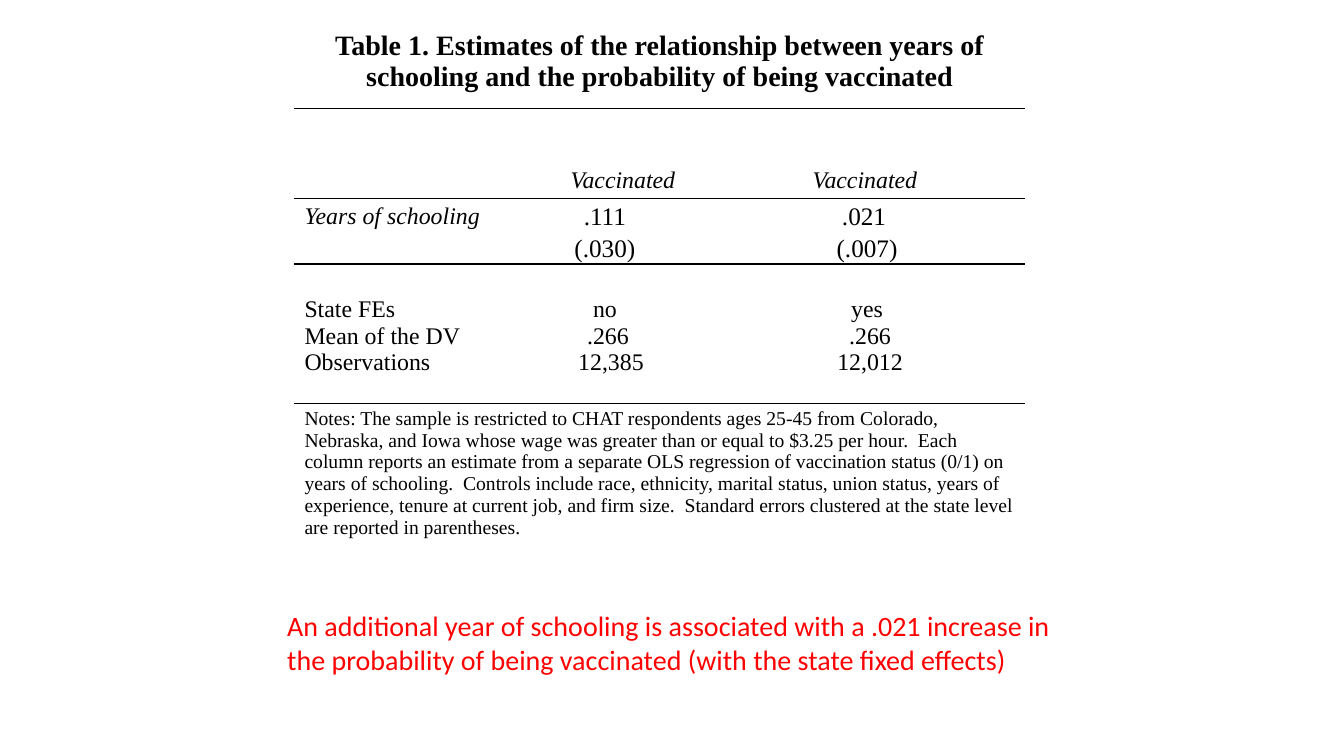
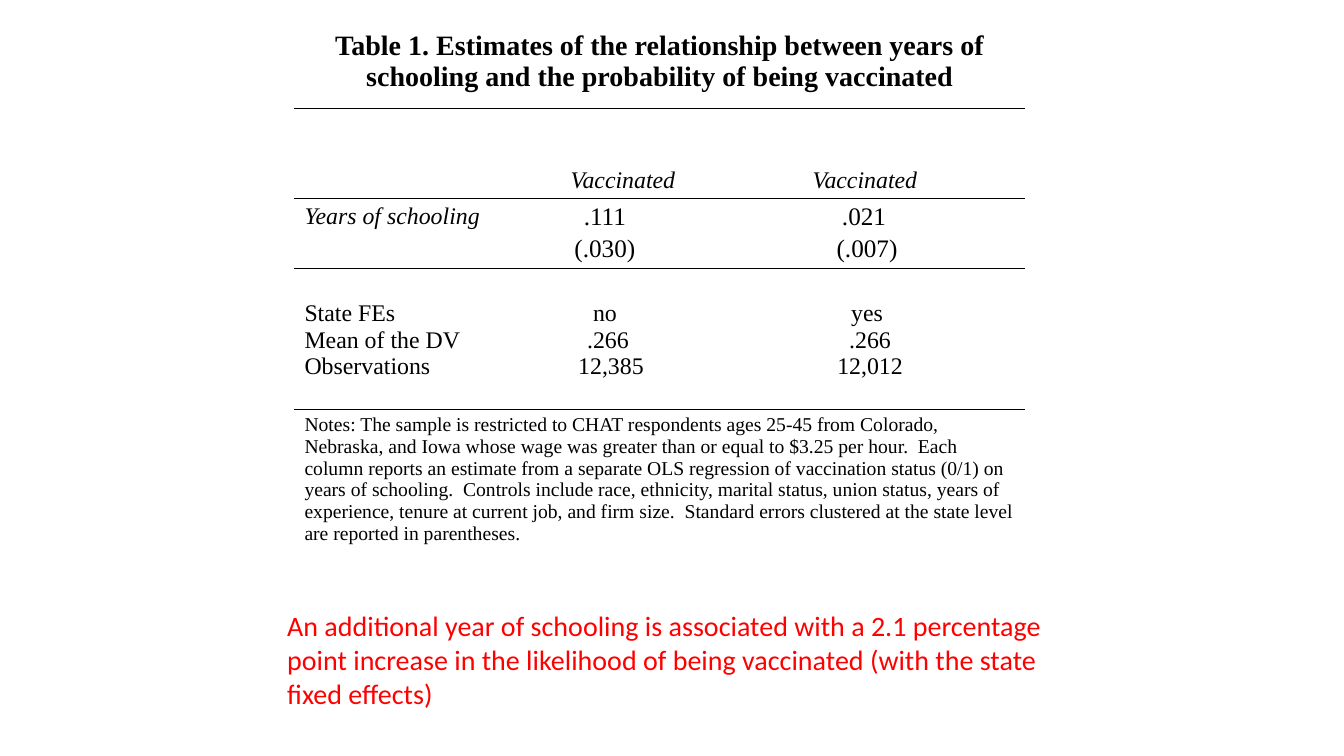
from dataclasses import dataclass, field
from typing import Any

from lxml import etree
from pptx import Presentation
from pptx.dml.color import RGBColor
from pptx.enum import text
from pptx.oxml import ns
from pptx.util import Inches, Pt

BLACK, WHITE, RED = "000000", "FFFFFF", "FF0000"
SERIF, SANS = "Times New Roman", "Calibri"
NO_STYLE = "{2D5ABB26-0587-4C30-8999-92F81FD0307C}"
COLUMN_WIDTHS = (2.17, 1.82, 3.26)
ROW_HEIGHTS = (0.83, 0.89, 0.65, 1.15, 0.23, 1.4)
TABLE_LEFT, TABLE_TOP = 2.92, 0.25
FULL_WIDTH_ROWS = (0, 4, 5)
SPACER_ROW = 4
RULED_ROWS = (0, 1, 4)
SUMMARY_TOP = 0.32
NUDGE = 0.06


@dataclass(frozen=True)
class Line:
    text: str
    nudges: int = 0


@dataclass(frozen=True)
class Entry:
    row: int
    column: int
    lines: tuple[Line, ...]
    font: dict[str, Any] = field(default_factory=dict)
    paragraph: dict[str, Any] = field(default_factory=dict)
    margins: dict[str, float] = field(default_factory=dict)
    anchor: text.MSO_ANCHOR = text.MSO_ANCHOR.TOP


@dataclass(frozen=True)
class Finding:
    text: str
    height: float


CENTERED = {"alignment": text.PP_ALIGN.CENTER}
ESTIMATE: dict[str, Any] = {
    "font": {"size": Pt(18)},
    "paragraph": {**CENTERED, "line_spacing": 1.15},
    "margins": {"left": 0.07, "right": 0.07, "top": 0, "bottom": 0},
}
HEADING: dict[str, Any] = {"font": {"italic": True}, "anchor": text.MSO_ANCHOR.BOTTOM}
SUMMARY: dict[str, Any] = {"margins": {"top": SUMMARY_TOP, "bottom": 0}}

ENTRIES = (
    Entry(0, 0, (Line("Table 1. Estimates of the relationship between years of schooling "
                      "and the probability of being vaccinated"),),
          {"size": Pt(20), "bold": True}, CENTERED),
    Entry(1, 1, (Line("Vaccinated"),), margins={"left": 0.57}, **HEADING),
    Entry(1, 2, (Line("Vaccinated"),), margins={"left": 1.15}, **HEADING),
    Entry(2, 0, (Line("Years of schooling"),), {"italic": True}),
    Entry(2, 1, (Line(".111"), Line("(.030)")), **ESTIMATE),
    Entry(2, 2, (Line(".021", 1), Line("(.007)", 2)), **ESTIMATE),
    Entry(3, 0, (Line("State FEs"), Line("Mean of the DV"), Line("Observations")), **SUMMARY),
    Entry(3, 1, (Line("no"), Line(".266", 1), Line("12,385", 2)), paragraph=CENTERED, **SUMMARY),
    Entry(3, 2, (Line("yes", 2), Line(".266", 3), Line("12,012", 3)), paragraph=CENTERED, **SUMMARY),
    Entry(5, 0, (Line("Notes: The sample is restricted to CHAT respondents ages 25-45 from "
                      "Colorado, Nebraska, and Iowa whose wage was greater than or equal to "
                      "$3.25 per hour.  Each column reports an estimate from a separate OLS "
                      "regression of vaccination status (0/1) on years of schooling.  Controls "
                      "include race, ethnicity, marital status, union status, years of "
                      "experience, tenure at current job, and firm size.  Standard errors "
                      "clustered at the state level are reported in parentheses."),),
          {"size": Pt(14)}),
)

FINDINGS = (
    Finding("An additional year of schooling is associated with a .021 increase in the "
            "probability of being vaccinated (with the state fixed effects)", 0.77),
    Finding("An additional year of schooling is associated with a 2.1 percentage point increase "
            "in the likelihood of being vaccinated (with the state fixed effects)", 1.11),
)


def color(value: str) -> RGBColor:
    return RGBColor.from_string(value)


def apply(target: Any, values: dict[str, Any]) -> None:
    for name, value in values.items():
        setattr(target, name, value)


def add_rule(cell: Any, side: str, position: int) -> None:
    properties = cell._tc.get_or_add_tcPr()
    line = etree.Element(ns.qn(f"a:ln{side}"), w=str(Pt(1)))
    fill = etree.SubElement(line, ns.qn("a:solidFill"))
    etree.SubElement(fill, ns.qn("a:srgbClr"), val=BLACK)
    properties.insert(position, line)


def write_entry(table: Any, entry: Entry) -> None:
    cell = table.cell(entry.row, entry.column)
    cell.vertical_anchor = entry.anchor
    apply(cell, {f"margin_{side}": Inches(size) for side, size in entry.margins.items()})
    frame = cell.text_frame
    for index, line in enumerate(entry.lines):
        paragraph = frame.add_paragraph() if index else frame.paragraphs[0]
        apply(paragraph, entry.paragraph)
        if line.nudges:
            properties = paragraph._p.get_or_add_pPr()
            properties.set("marL", str(Inches(line.nudges * NUDGE)))
            properties.set("indent", "0")
        run = paragraph.add_run()
        run.text = line.text
        apply(run.font, {"name": SERIF, "size": Pt(17), "bold": False, **entry.font})
        run.font.color.rgb = color(BLACK)


def add_estimates(slide: Any) -> None:
    table = slide.shapes.add_table(
        len(ROW_HEIGHTS), len(COLUMN_WIDTHS), Inches(TABLE_LEFT), Inches(TABLE_TOP),
        Inches(sum(COLUMN_WIDTHS)), Inches(sum(ROW_HEIGHTS))).table
    apply(table, {"first_row": False, "horz_banding": False})
    table._tbl.tblPr.find(ns.qn("a:tableStyleId")).text = NO_STYLE
    for column, width in zip(table.columns, COLUMN_WIDTHS):
        column.width = Inches(width)
    for index, (row, height) in enumerate(zip(table.rows, ROW_HEIGHTS)):
        row.height = Inches(height)
        for cell in row.cells:
            cell.fill.solid()
            cell.fill.fore_color.rgb = color(WHITE)
            if index - 1 in RULED_ROWS:
                add_rule(cell, "T", 0)
            if index in RULED_ROWS:
                add_rule(cell, "B", int(index - 1 in RULED_ROWS))
            if index == SPACER_ROW:
                apply(cell, {"margin_top": 0, "margin_bottom": 0})
                paragraph = cell.text_frame.paragraphs[0]
                etree.SubElement(paragraph._p, ns.qn("a:endParaRPr"), sz="800")
    for index in FULL_WIDTH_ROWS:
        table.cell(index, 0).merge(table.cell(index, len(COLUMN_WIDTHS) - 1))
    for entry in ENTRIES:
        write_entry(table, entry)


def add_finding(slide: Any, finding: Finding) -> None:
    box = slide.shapes.add_textbox(
        Inches(2.75), Inches(5.99), Inches(8.12), Inches(finding.height))
    apply(box.text_frame, {"word_wrap": True,
                           "auto_size": text.MSO_AUTO_SIZE.SHAPE_TO_FIT_TEXT})
    run = box.text_frame.paragraphs[0].add_run()
    run.text = finding.text
    apply(run.font, {"name": SANS, "size": Pt(20)})
    run.font.color.rgb = color(RED)


def main() -> None:
    presentation = Presentation()
    apply(presentation, {"slide_width": Inches(13.33), "slide_height": Inches(7.5)})
    blank_layout = presentation.slide_layouts[6]
    for finding in FINDINGS:
        slide = presentation.slides.add_slide(blank_layout)
        add_estimates(slide)
        add_finding(slide, finding)
    presentation.save("out.pptx")


if __name__ == "__main__":
    main()
